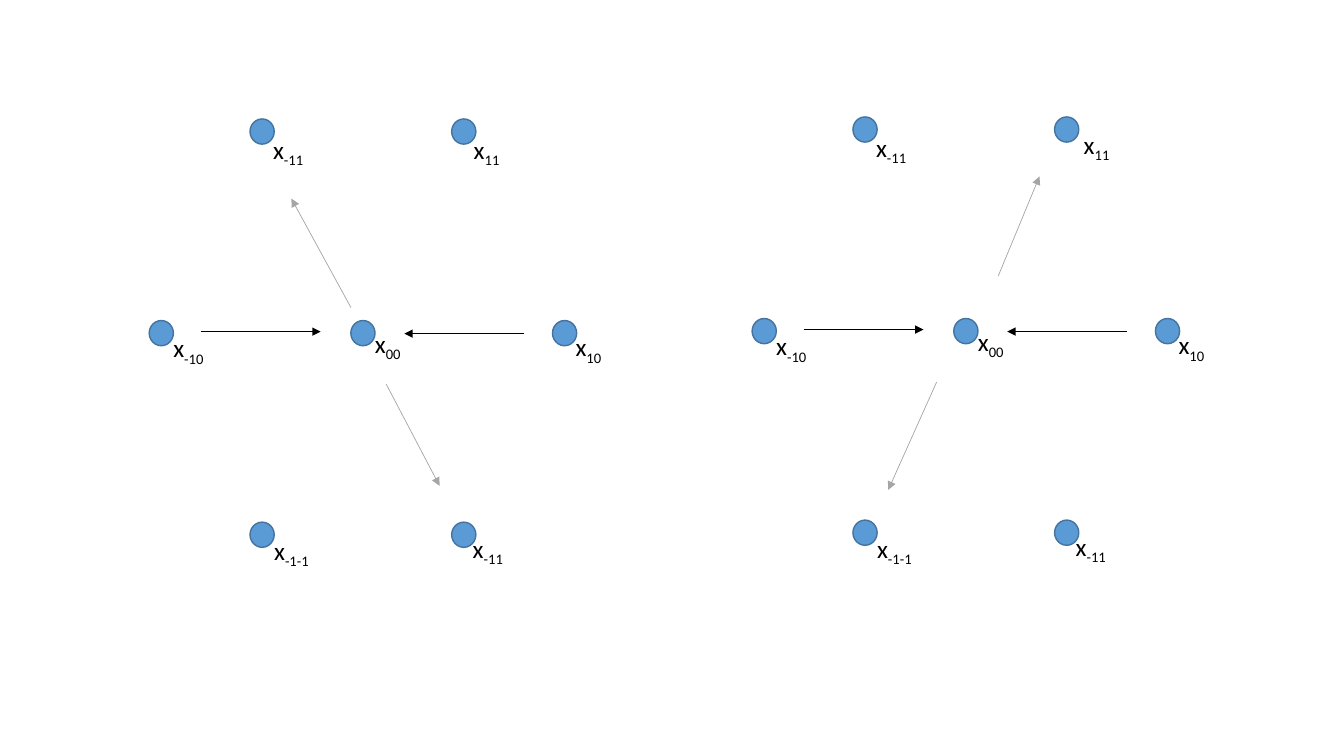
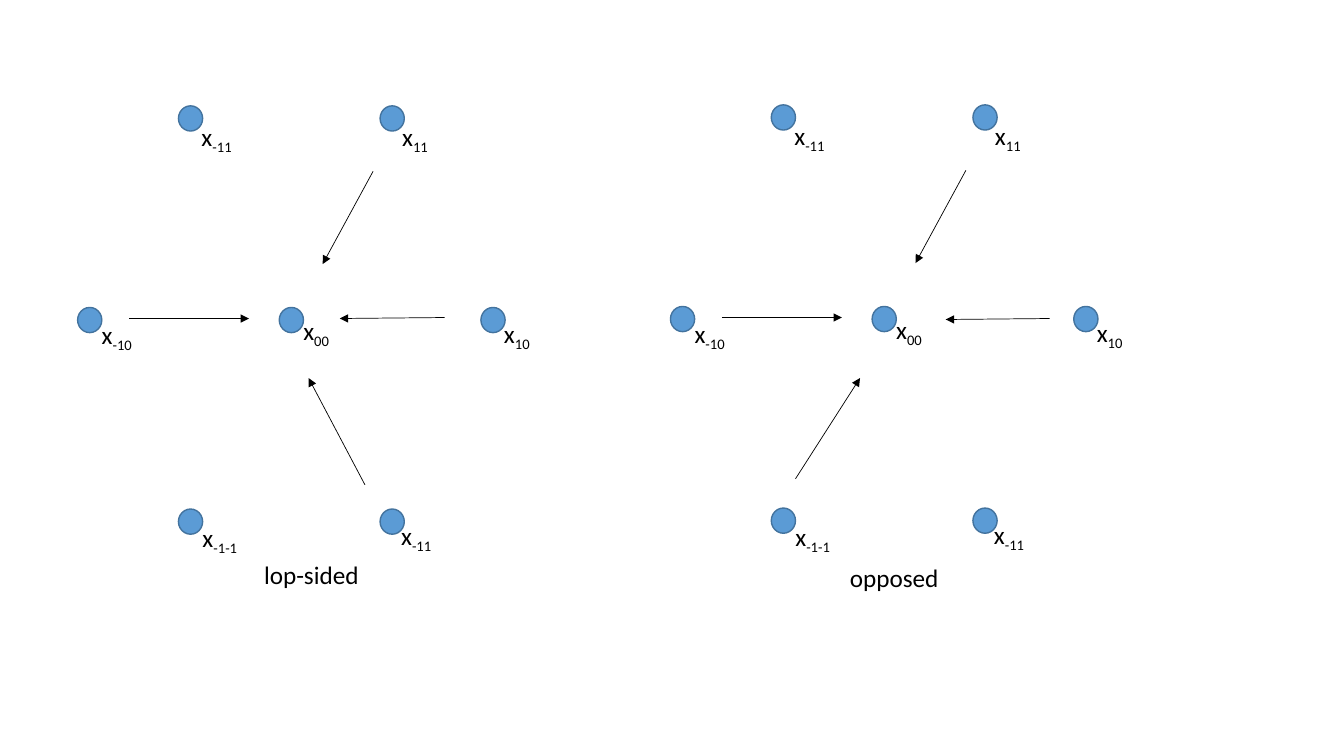
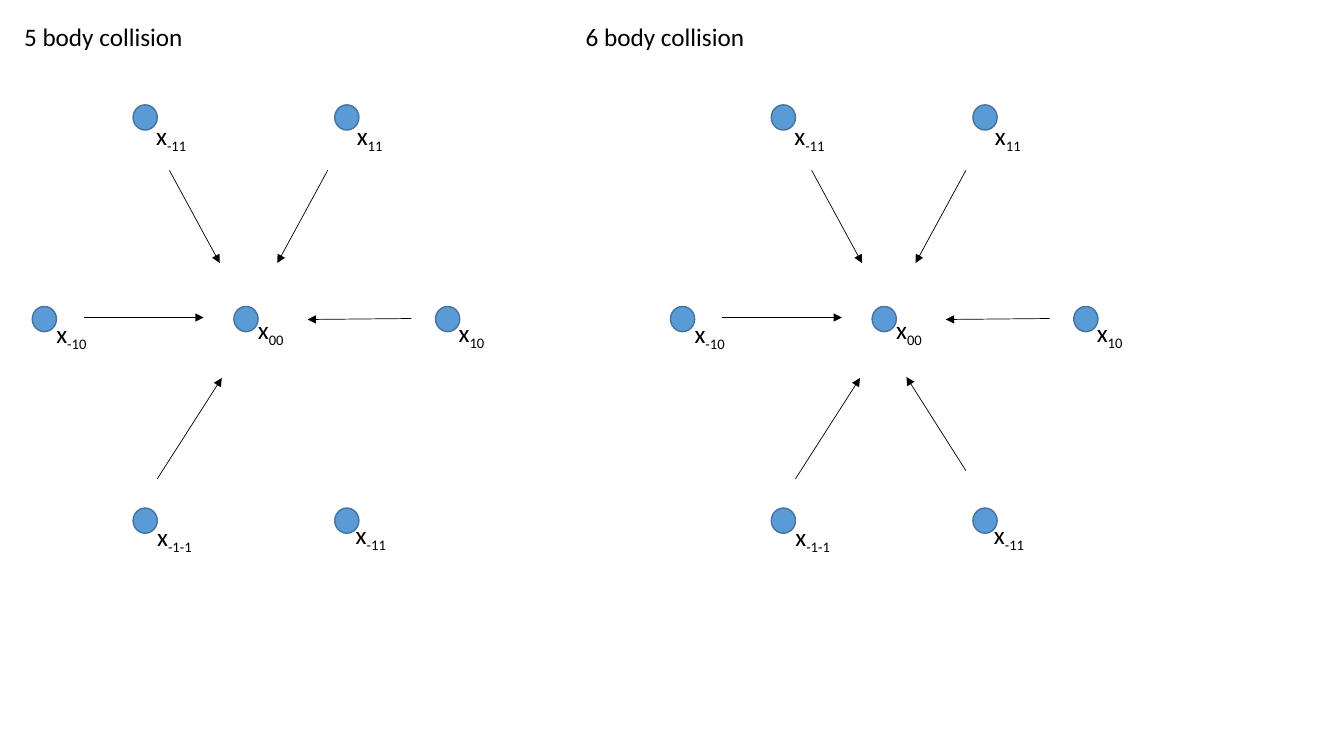
from dataclasses import dataclass
from typing import Optional

from lxml.etree import SubElement
from pptx import Presentation
from pptx.dml.color import RGBColor
from pptx.enum.shapes import MSO_CONNECTOR as Connector, MSO_SHAPE as Preset
from pptx.enum.text import MSO_AUTO_SIZE as AutoSize
from pptx.oxml.ns import qn
from pptx.slide import Slide
from pptx.text.text import _Paragraph as Paragraph
from pptx.util import Inches, Pt

COLUMN = ROW = Inches(1)
SLIDE_COLUMNS, SLIDE_ROWS = 13.33, 7.5
DOT_COLUMNS, DOT_ROWS = 0.24, 0.25
LABEL_COLUMNS, TEXT_ROWS = 0.59, 0.4
FONT, TEXT_SIZE = "Calibri", Pt(18)
BLUE, DARK_BLUE, BLACK, GREY = "5B9BD5", "43739E", "000000", "A5A5A5"


@dataclass(frozen=True)
class Point:
    column: float
    row: float

    def __add__(self, other: "Point") -> "Point":
        return Point(self.column + other.column, self.row + other.row)

    @property
    def x(self) -> int:
        return round(self.column * COLUMN)

    @property
    def y(self) -> int:
        return round(self.row * ROW)


@dataclass(frozen=True)
class Node:
    subscript: str
    place: Point
    label_offset: Point


@dataclass(frozen=True)
class Arrow:
    start: Point
    end: Point
    color: str = BLACK


@dataclass(frozen=True)
class Caption:
    text: str
    place: Point
    columns: float


@dataclass(frozen=True)
class Lattice:
    origin: Point
    arrows: tuple[Arrow, ...]
    caption: Optional[Caption] = None
    upper_right_label: Point = Point(0.12, 0.1)


def arrow(start_column: float, start_row: float, end_column: float,
          end_row: float, color: str = BLACK) -> Arrow:
    return Arrow(Point(start_column, start_row), Point(end_column, end_row), color)


UPPER_RIGHT = Point(3, 0)
NODES = (
    Node("-10", Point(0, 2), Point(0.14, 0.07)),
    Node("00", Point(2, 2), Point(0.14, 0.03)),
    Node("10", Point(4, 2), Point(0.13, 0.06)),
    Node("-1-1", Point(1, 4), Point(0.14, 0.08)),
    Node("-11", Point(3, 4), Point(0.11, 0.06)),
    Node("-11", Point(1, 0), Point(0.13, 0.1)),
    Node("11", UPPER_RIGHT, Point(0.12, 0.1)),
)

FROM_LEFT = arrow(0.51, 2.11, 1.7, 2.11)
FROM_RIGHT = arrow(3.76, 2.12, 2.73, 2.13)
FROM_RIGHT_LEVEL = arrow(3.72, 2.13, 2.53, 2.13)
FROM_UPPER_RIGHT = arrow(2.93, 0.65, 2.43, 1.57)
FROM_LOWER_LEFT = arrow(1.24, 3.71, 1.88, 2.71)
HEAD_ON = (FROM_LEFT, FROM_RIGHT_LEVEL)
FOUR_BODY = (FROM_LEFT, FROM_RIGHT, FROM_UPPER_RIGHT, FROM_LOWER_LEFT)

SLIDES = (
    (
        Lattice(Point(7.46, 1.16), HEAD_ON + (
            arrow(1.83, 2.63, 1.35, 3.7, GREY),
            arrow(2.44, 1.58, 2.85, 0.59, GREY),
        ), upper_right_label=Point(0.19, 0.07)),
        Lattice(Point(1.48, 1.18), HEAD_ON + (
            arrow(2, 1.87, 1.41, 0.79, GREY),
            arrow(2.35, 2.63, 2.88, 3.64, GREY),
        )),
    ),
    (
        Lattice(Point(0.77, 1.05), (
            FROM_LEFT, FROM_UPPER_RIGHT,
            arrow(3.64, 2.1, 2.6, 2.11),
            arrow(2.85, 3.76, 2.29, 2.7),
        ), Caption("lop-sided", Point(2.52, 5.5), 1.15)),
        Lattice(Point(6.65, 1.04), FOUR_BODY,
                Caption("opposed", Point(8.33, 5.53), 1.09)),
    ),
    (
        Lattice(Point(0.32, 1.04), FOUR_BODY + (arrow(1.36, 0.65, 1.86, 1.57),),
                Caption("5 body collision", Point(0.14, 0.16), 1.79)),
        Lattice(Point(6.65, 1.04), FOUR_BODY + (
            arrow(1.4, 0.65, 1.9, 1.57),
            arrow(2.93, 3.63, 2.34, 2.7),
        ), Caption("6 body collision", Point(5.71, 0.16), 1.79)),
    ),
)


def rgb(color: str) -> RGBColor:
    return RGBColor.from_string(color)


def add_paragraph_box(slide: Slide, place: Point, columns: float, wrap: bool) -> Paragraph:
    box = slide.shapes.add_textbox(
        place.x, place.y, round(columns * COLUMN), round(TEXT_ROWS * ROW))
    frame = box.text_frame
    frame.word_wrap = wrap
    frame.auto_size = AutoSize.SHAPE_TO_FIT_TEXT
    return frame.paragraphs[0]


def add_run(paragraph: Paragraph, text: str, subscript: bool = False) -> None:
    run = paragraph.add_run()
    run.text = text
    run.font.name = FONT
    run.font.size = TEXT_SIZE
    run.font.color.rgb = rgb(BLACK)
    if subscript:
        run.font._element.set("baseline", "-25000")


def draw_dot(slide: Slide, place: Point) -> None:
    dot = slide.shapes.add_shape(
        Preset.OVAL, place.x, place.y,
        round(DOT_COLUMNS * COLUMN), round(DOT_ROWS * ROW))
    dot.shadow.inherit = False
    dot.fill.solid()
    dot.fill.fore_color.rgb = rgb(BLUE)
    dot.line.color.rgb = rgb(DARK_BLUE)
    dot.line.width = Pt(1)


def draw_label(slide: Slide, subscript: str, place: Point) -> None:
    paragraph = add_paragraph_box(slide, place, LABEL_COLUMNS, wrap=True)
    add_run(paragraph, "x")
    add_run(paragraph, subscript, subscript=True)


def draw_arrow(slide: Slide, origin: Point, item: Arrow) -> None:
    start, end = origin + item.start, origin + item.end
    connector = slide.shapes.add_connector(
        Connector.STRAIGHT, start.x, start.y, end.x, end.y)
    connector.line.color.rgb = rgb(item.color)
    connector.line.width = Pt(0.5)
    properties = connector._element.spPr
    SubElement(properties.find(qn("a:ln")), qn("a:tailEnd"), type="triangle")
    SubElement(properties, qn("a:effectLst"))


def draw_lattice(slide: Slide, lattice: Lattice) -> None:
    for node in NODES:
        draw_dot(slide, lattice.origin + node.place)
    for node in NODES:
        offset = (lattice.upper_right_label if node.place == UPPER_RIGHT
                  else node.label_offset)
        draw_label(slide, node.subscript, lattice.origin + node.place + offset)
    for item in lattice.arrows:
        draw_arrow(slide, lattice.origin, item)
    if lattice.caption:
        caption = lattice.caption
        paragraph = add_paragraph_box(slide, caption.place, caption.columns, wrap=False)
        add_run(paragraph, caption.text)


def main() -> None:
    presentation = Presentation()
    presentation.slide_width = round(SLIDE_COLUMNS * COLUMN)
    presentation.slide_height = round(SLIDE_ROWS * ROW)
    blank_layout = presentation.slide_layouts[6]
    for lattices in SLIDES:
        slide = presentation.slides.add_slide(blank_layout)
        for lattice in lattices:
            draw_lattice(slide, lattice)
    presentation.save("out.pptx")


main()
